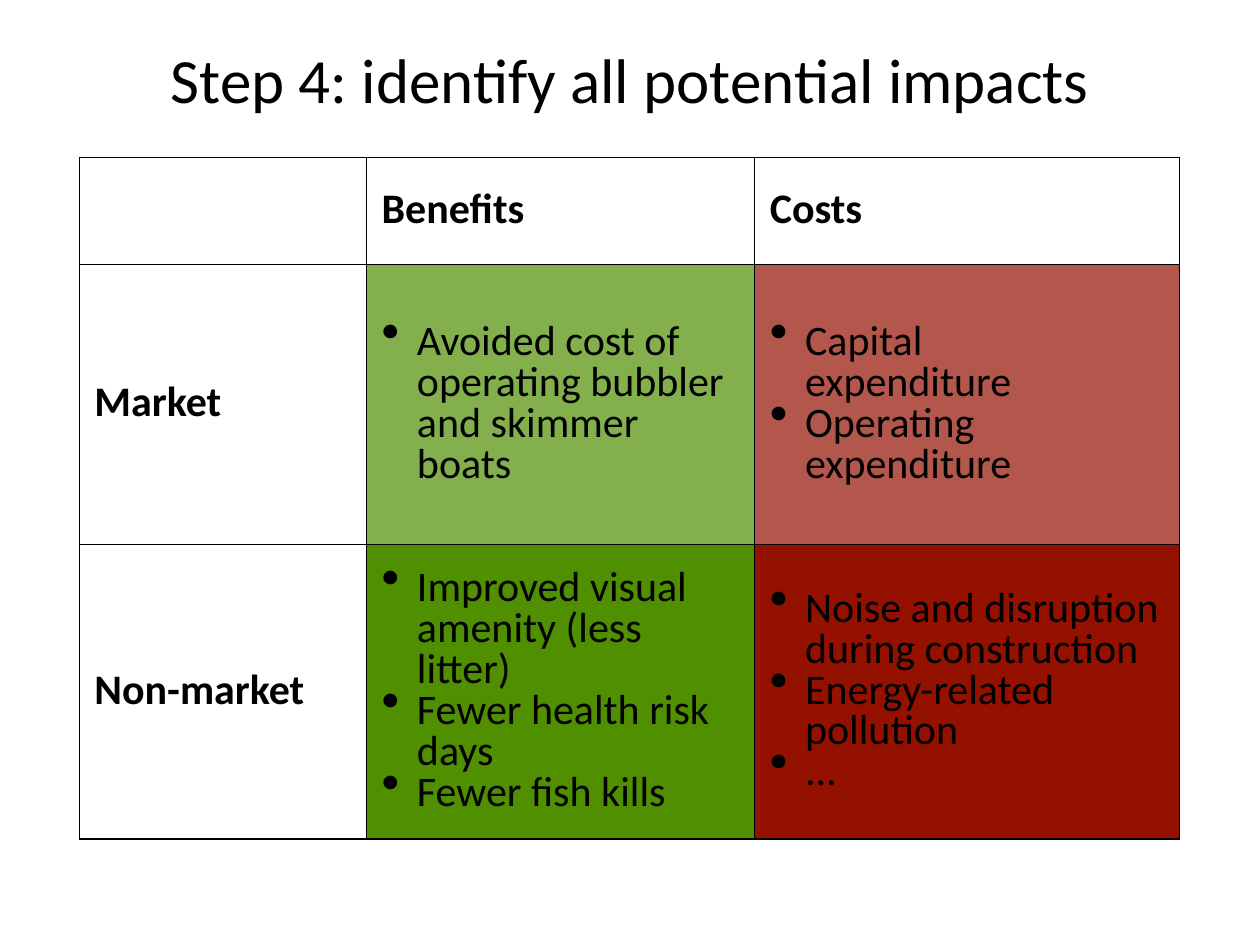
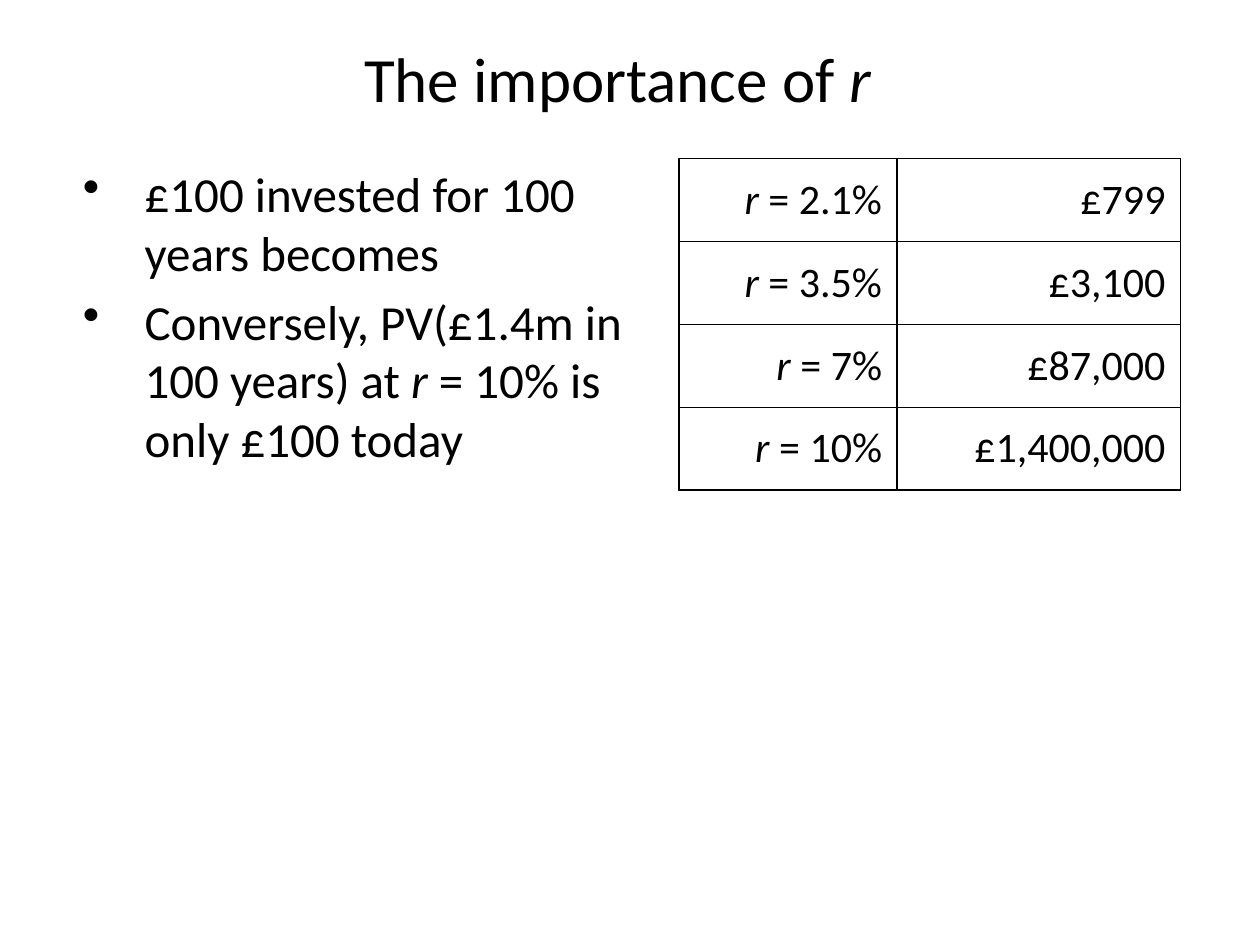
import lxml.etree
import pptx
import pptx.dml.color
import pptx.enum.text
import pptx.oxml.ns
import pptx.util

BLACK = pptx.dml.color.RGBColor(0x00, 0x00, 0x00)
GREEN = pptx.dml.color.RGBColor(0x4F, 0x8F, 0x00)
RED = pptx.dml.color.RGBColor(0x94, 0x11, 0x00)

FONT = "Calibri"
TITLE_SIZE, BODY_SIZE, TABLE_SIZE = 36, 28, 24
COLUMNS, ROWS = 40, 30
ALIGN = pptx.enum.text.PP_ALIGN
MIDDLE = pptx.enum.text.MSO_ANCHOR.MIDDLE


def add_element(parent, tag, **attributes):
    element = lxml.etree.SubElement(parent, pptx.oxml.ns.qn(tag))
    for name, value in attributes.items():
        element.set(name, str(value))
    return element


def write_text(para, text, size=TABLE_SIZE, bold=False, align=ALIGN.LEFT,
               spacing=None, before=None, bullet=None):
    """Write one paragraph; *stars* mark italics and a newline breaks the line."""
    para.alignment = align
    if bullet:
        indent, hanging, percent = bullet
        properties = para._p.get_or_add_pPr()
        properties.set("marL", str(pptx.util.Inches(indent)))
        properties.set("indent", str(-pptx.util.Inches(hanging)))
        add_element(properties, "a:buSzPct", val=percent * 1000)
        add_element(properties, "a:buChar", char="•")
    if spacing:
        para.line_spacing = spacing
    if before:
        para.space_before = pptx.util.Pt(before)
    for part, words in enumerate(text.split("*")):
        for line, content in enumerate(words.split("\n")):
            if line:
                para.add_line_break()
            if content:
                span = para.add_run()
                span.text = content
                span.font.name = FONT
                span.font.size = pptx.util.Pt(size)
                span.font.bold = bold
                span.font.italic = part % 2 == 1
                span.font.color.rgb = BLACK


def write_paragraphs(frame, texts, **style):
    for index, text in enumerate(texts):
        para = frame.add_paragraph() if index else frame.paragraphs[0]
        write_text(para, text, **style)


class SlideBuilder:
    def __init__(self, deck):
        self.deck = deck
        self.page = None
        self.column = deck.slide_width / COLUMNS
        self.row = deck.slide_height / ROWS

    def across(self, count):
        return round(count * self.column)

    def down(self, count):
        return round(count * self.row)

    def add_page(self):
        self.page = self.deck.slides.add_slide(self.deck.slide_layouts[6])

    def add_text(self, left, top, width, height, texts, anchor=None, **style):
        box = self.page.shapes.add_textbox(
            self.across(left), self.down(top), self.across(width), self.down(height))
        box.text_frame.word_wrap = True
        box.text_frame.vertical_anchor = anchor
        write_paragraphs(box.text_frame, texts, **style)

    def add_title(self, text, left=3, top=0):
        self.add_text(left, top, 34, 5, [text], anchor=MIDDLE,
                      size=TITLE_SIZE, align=ALIGN.CENTER)

    def add_table(self, left, top, widths, heights):
        frame = self.page.shapes.add_table(
            len(heights), len(widths), self.across(left), self.down(top),
            self.across(sum(widths)), self.down(sum(heights)))
        table = frame.table
        table.first_row = table.horz_banding = False
        for column, width in zip(table.columns, widths):
            column.width = self.across(width)
        for row, height in zip(table.rows, heights):
            row.height = self.down(height)
        for cell in table.iter_cells():
            self.format_cell(cell)
        return table

    def format_cell(self, cell):
        cell.vertical_anchor = MIDDLE
        cell.margin_left = cell.margin_right = pptx.util.Inches(0.12)
        cell.margin_top = cell.margin_bottom = pptx.util.Inches(0.12)
        properties = cell._tc.get_or_add_tcPr()
        for side in ("a:lnL", "a:lnR", "a:lnT", "a:lnB"):
            line = add_element(properties, side, w=pptx.util.Pt(1))
            add_element(add_element(line, "a:solidFill"), "a:srgbClr", val=BLACK)
        cell.fill.background()

    def fill_cell(self, cell, color, opacity):
        cell.fill.solid()
        cell.fill.fore_color.rgb = color
        if opacity < 100:
            paint = cell._tc.tcPr.find(
                pptx.oxml.ns.qn("a:solidFill") + "/" + pptx.oxml.ns.qn("a:srgbClr"))
            add_element(paint, "a:alpha", val=opacity * 1000)


def build_impacts(builder):
    builder.add_page()
    builder.add_title("Step 4: identify all potential impacts")
    table = builder.add_table(2.52, 5, [9.12, 12.32, 13.48], [3.4, 8.88, 9.36])
    for column, heading in enumerate(["Benefits", "Costs"], 1):
        write_text(table.cell(0, column).text_frame.paragraphs[0], heading,
                   bold=True, spacing=0.8)
    impacts = [
        ("Market", 70,
         ["Avoided cost of operating bubbler and skimmer boats"],
         ["Capital\nexpenditure", "Operating expenditure"]),
        ("Non-market", 100,
         ["Improved visual amenity (less litter)", "Fewer health risk days",
          "Fewer fish kills"],
         ["Noise and disruption during construction",
          "Energy-related pollution", "..."]),
    ]
    for row, (kind, opacity, benefits, costs) in enumerate(impacts, 1):
        write_text(table.cell(row, 0).text_frame.paragraphs[0], kind,
                   bold=True, spacing=0.8)
        for column, (items, color) in enumerate([(benefits, GREEN), (costs, RED)], 1):
            cell = table.cell(row, column)
            builder.fill_cell(cell, color, opacity)
            write_paragraphs(cell.text_frame, items, spacing=0.8,
                             bullet=(0.28, 0.28, 125))


def build_importance(builder):
    builder.add_page()
    builder.add_title("The importance of *r*", left=2.6, top=-0.04)
    builder.add_text(
        1, 5, 19.32, 22,
        ["£100 invested for 100 years becomes",
         "Conversely, PV(£1.4m in 100 years) at *r* = 10% is only £100 today"],
        size=BODY_SIZE, before=5.6, bullet=(0.8, 0.49, 100))
    outcomes = [("2.1%", "£799"), ("3.5%", "£3,100"),
                ("7%", "£87,000"), ("10%", "£1,400,000")]
    table = builder.add_table(21.56, 5.04, [6.92, 9], [2.63] * len(outcomes))
    for row, (rate, value) in enumerate(outcomes):
        for column, text in enumerate([f"*r* = {rate}", value]):
            write_text(table.cell(row, column).text_frame.paragraphs[0], text,
                       align=ALIGN.RIGHT)


def main():
    deck = pptx.Presentation()
    deck.slide_width = pptx.util.Inches(10)
    deck.slide_height = pptx.util.Inches(7.5)
    builder = SlideBuilder(deck)
    build_impacts(builder)
    build_importance(builder)
    deck.save("out.pptx")


if __name__ == "__main__":
    main()
